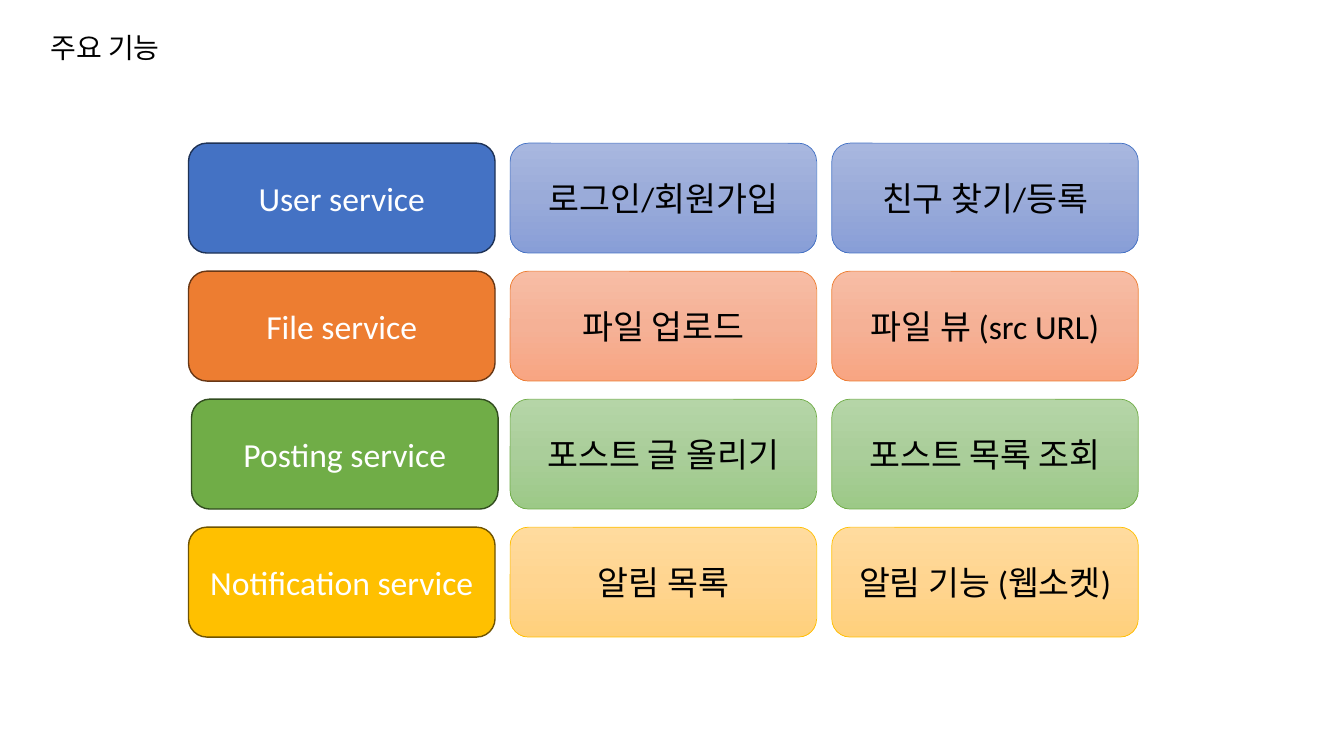
from copy import deepcopy

from pptx import Presentation
from pptx.dml.color import RGBColor
from pptx.enum.shapes import MSO_SHAPE
from pptx.enum.text import MSO_ANCHOR, MSO_AUTO_SIZE, PP_ALIGN
from pptx.oxml.ns import qn
from pptx.util import Inches, Pt

SERVICES = [
    ("User service", "4472C4", "1E3256", ["A8B7DF", "9AABD9", "889ED7"],
     ["로그인/회원가입", "친구 찾기/등록"]),
    ("File service", "ED7D31", "683715", ["F7BDA5", "F5B196", "F8A582"],
     ["파일 업로드", "파일 뷰 (src URL)"]),
    ("Posting service", "70AD47", "314C1F", ["B5D5A7", "AACE9A", "9CC987"],
     ["포스트 글 올리기", "포스트 목록 조회"]),
    ("Notification service", "FFC000", "705400", ["FFDB9E", "FFD590", "FFD07C"],
     ["알림 목록", "알림 기능 (웹소켓)"]),
]
TOP, ROW_STEP = 1.42, 1.27
SERVICE_LEFT, POSTING_LEFT = 1.87, 1.9
FEATURE_LEFT, FEATURE_STEP = 5.06, 3.19


def color(value):
    return RGBColor.from_string(value)


class FeatureSlide:
    """Draws titles and rounded cards in one style on a slide."""

    font_name = "Calibri"
    card_width, card_height = 3.04, 1.09

    def __init__(self, slide):
        self.slide = slide

    def add_span(self, para, text, size, ink):
        span = para.add_run()
        span.text = text
        span.font.name = self.font_name
        span.font.size = Pt(size)
        span.font.color.rgb = color(ink)

    def title(self, text, left, top, width, height):
        box = self.slide.shapes.add_textbox(
            Inches(left), Inches(top), Inches(width), Inches(height))
        frame = box.text_frame
        frame.word_wrap = True
        frame.auto_size = MSO_AUTO_SIZE.SHAPE_TO_FIT_TEXT
        self.add_span(frame.paragraphs[0], text, 20, "000000")

    def card(self, text, left, top, fills, line, line_width, ink):
        box = self.slide.shapes.add_shape(
            MSO_SHAPE.ROUNDED_RECTANGLE, Inches(left), Inches(top),
            Inches(self.card_width), Inches(self.card_height))
        box.shadow.inherit = False
        self.paint(box, fills)
        box.line.color.rgb = color(line)
        box.line.width = Pt(line_width)
        frame = box.text_frame
        frame.word_wrap = True
        frame.vertical_anchor = MSO_ANCHOR.MIDDLE
        para = frame.paragraphs[0]
        para.alignment = PP_ALIGN.CENTER
        self.add_span(para, text, 24, ink)

    def paint(self, box, fills):
        if len(fills) == 1:
            box.fill.solid()
            box.fill.fore_color.rgb = color(fills[0])
            return
        box.fill.gradient()
        box.fill.gradient_angle = 270
        stop_list = next(box.element.iter(qn("a:gsLst")))
        stop_list.insert(1, deepcopy(stop_list[0]))
        for index, (stop, fill) in enumerate(zip(box.fill.gradient_stops, fills)):
            stop.position = index / (len(fills) - 1)
            stop.color.rgb = color(fill)


def main():
    deck = Presentation()
    deck.slide_width, deck.slide_height = Inches(13.33), Inches(7.5)
    page = FeatureSlide(deck.slides.add_slide(deck.slide_layouts[6]))
    page.title("주요 기능", 0.4, 0.25, 1.95, 0.44)
    for row, (service, main_fill, border, gradient, features) in enumerate(SERVICES):
        top = TOP + row * ROW_STEP
        left = POSTING_LEFT if service == "Posting service" else SERVICE_LEFT
        page.card(service, left, top, [main_fill], border, 1, "FFFFFF")
        for column, feature in enumerate(features):
            page.card(feature, FEATURE_LEFT + column * FEATURE_STEP, top,
                      gradient, main_fill, 0.5, "000000")
    deck.save("out.pptx")


if __name__ == "__main__":
    main()
